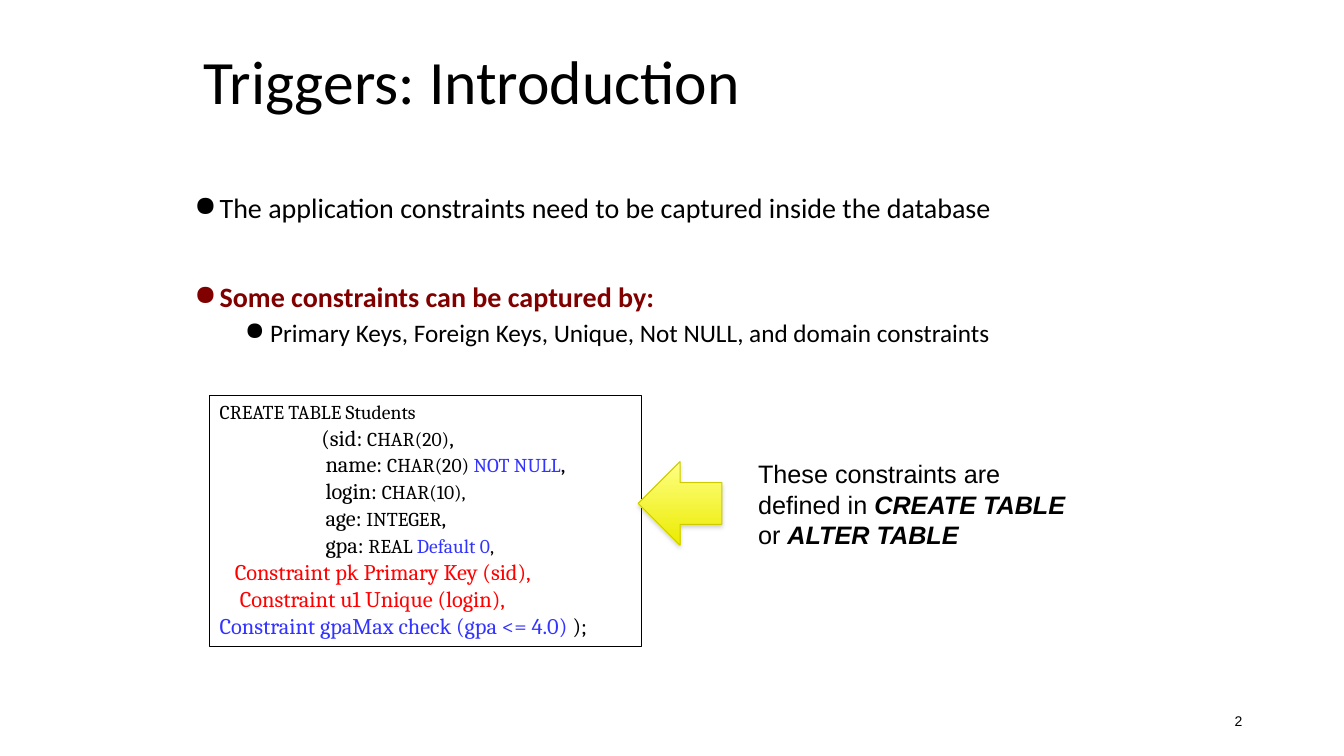
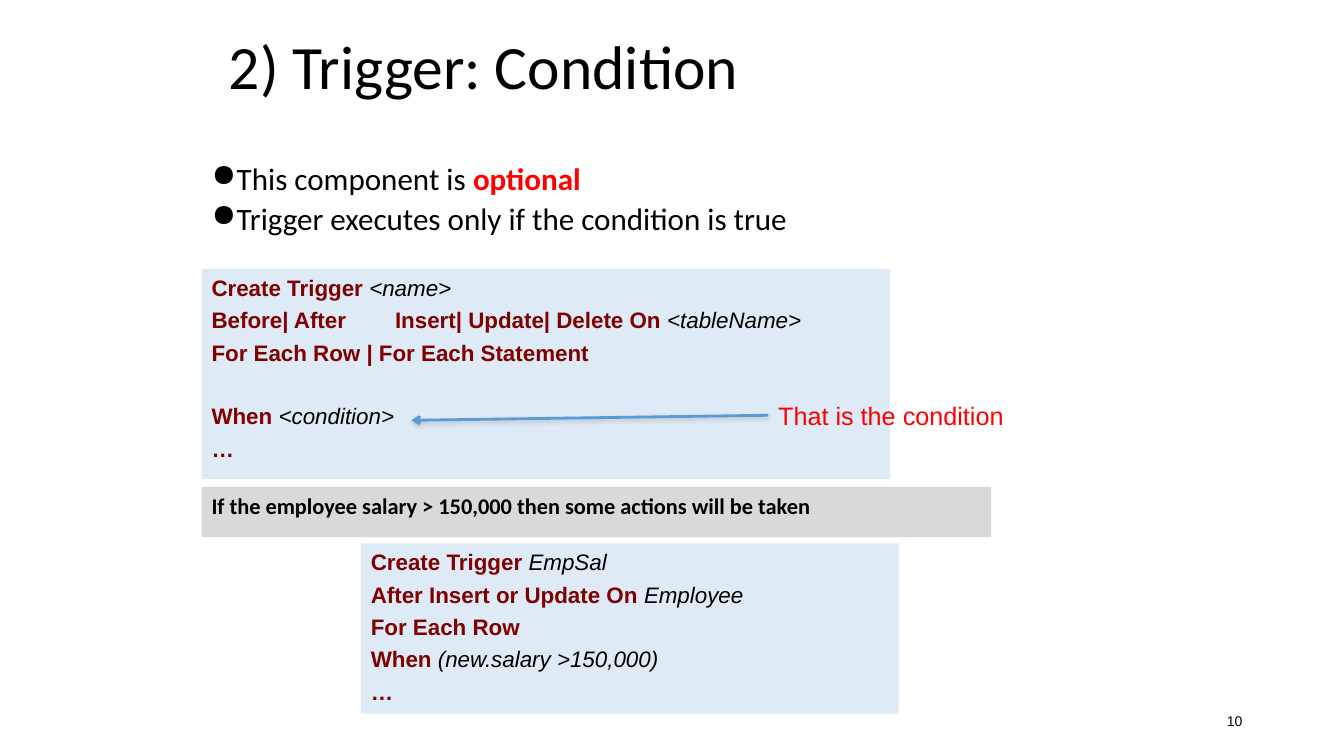
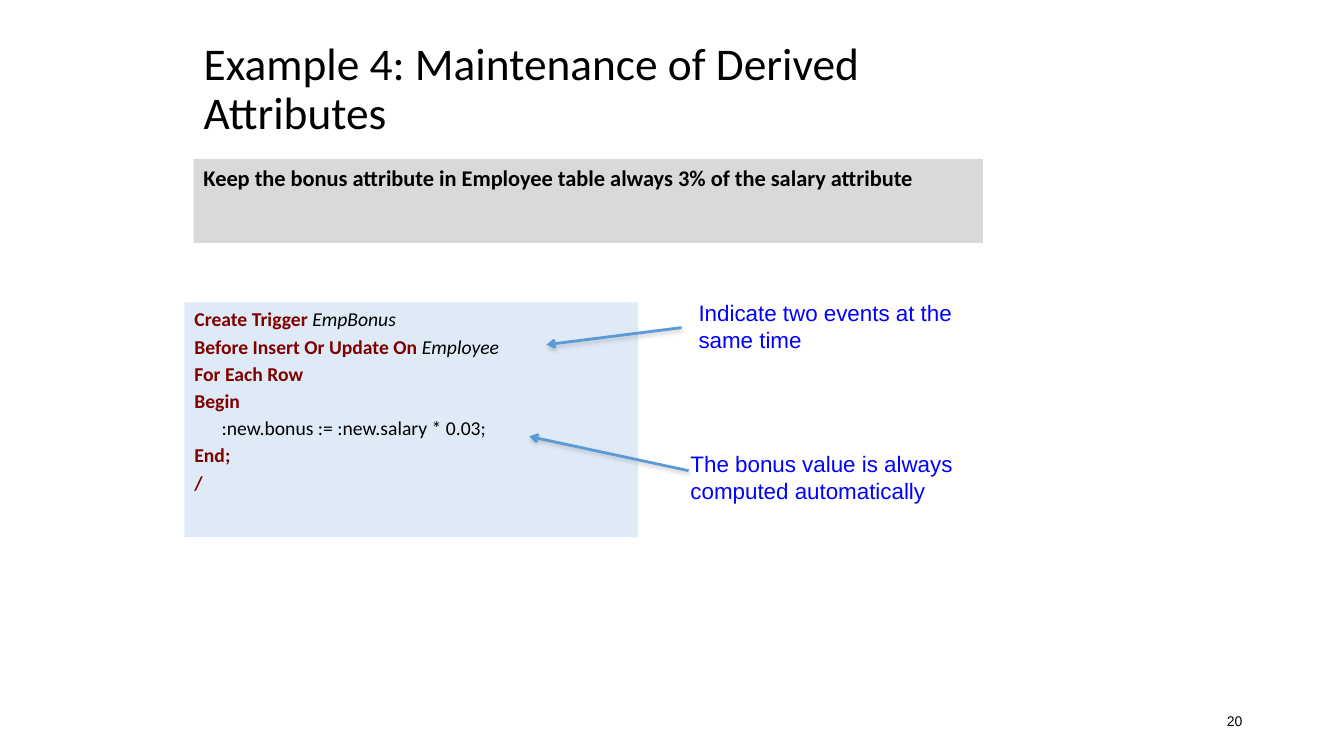
from lxml import etree
from pptx import Presentation
from pptx.dml.color import RGBColor
from pptx.enum.shapes import MSO_CONNECTOR, MSO_SHAPE
from pptx.enum.text import MSO_ANCHOR, MSO_AUTO_SIZE, PP_ALIGN
from pptx.oxml.ns import qn
from pptx.util import Inches, Pt

RECT, ARROW = MSO_SHAPE.RECTANGLE, MSO_SHAPE.LEFT_ARROW
LINE = MSO_CONNECTOR.STRAIGHT
TOP, MIDDLE = MSO_ANCHOR.TOP, MSO_ANCHOR.MIDDLE
LEFT, RIGHT = PP_ALIGN.LEFT, PP_ALIGN.RIGHT
FIXED = MSO_AUTO_SIZE.NONE

HUES = {
    "black": "000000", "maroon": "800000", "red": "FF0000", "blue": "0000FF",
    "iris": "3333FF", "sky": "DEEBF7", "grey": "D9D9D9", "link": "5B9BD5",
    "pale": "FFFF85", "lemon": "EBEB00", "olive": "CCCC00", "shade": "808080",
}
TITLE, BODY, CODE = "Calibri", "Arial", "Cambria"


def hue(name):
    return RGBColor.from_string(HUES[name])


def box(left, top, width, height):
    return [Inches(n) for n in (left, top, width, height)]


def child(node, tag, **attrs):
    return etree.SubElement(node, qn(tag), {k: str(v) for k, v in attrs.items()})


# Text: each run is a string or a (string, format) pair
def write(frame, *runs, font=BODY, size=16, color="black", bold=False,
          italic=False, align=LEFT, line=None, gap=0, left=0, bullet=None,
          tab=None):
    para = frame.paragraphs[0]
    if para.runs:
        para = frame.add_paragraph()
    para.alignment, para.line_spacing = align, line
    para.space_before = Pt(gap)
    props = para._p.get_or_add_pPr()
    if left:
        props.set("marL", str(Inches(left)))
        props.set("indent", str(Inches(-0.25 if bullet else 0)))
    if bullet:
        child(props, "a:buChar", char=bullet)
    if tab:
        child(child(props, "a:tabLst"), "a:tab", pos=Inches(tab), algn="l")
    base = {"font": font, "size": size, "color": color, "bold": bold,
            "italic": italic}
    for item in runs:
        words, extra = (item, {}) if isinstance(item, str) else item
        look = {**base, **extra}
        run = para.add_run()
        run.text = words
        run.font.name, run.font.size = look["font"], Pt(look["size"])
        run.font.bold, run.font.italic = look["bold"], look["italic"]
        run.font.color.rgb = hue(look["color"])


def area(slide, place, anchor=TOP):
    shape = slide.shapes.add_textbox(*box(*place))
    shape.text_frame.word_wrap = True
    shape.text_frame.vertical_anchor = anchor
    return shape


def panel(slide, place, fill=None):
    shape = slide.shapes.add_shape(RECT, *box(*place))
    shape.shadow.inherit = False
    if fill:
        shape.fill.solid()
        shape.fill.fore_color.rgb = hue(fill)
        shape.line.fill.background()
    else:
        shape.fill.background()
        shape.line.color.rgb = hue("black")
        shape.line.width = Pt(0.75)
    shape.text_frame.word_wrap = True
    shape.text_frame.vertical_anchor = TOP
    return shape.text_frame


def shadow(props, alpha, dist):
    for old in props.findall(qn("a:effectLst")):
        props.remove(old)
    cast = child(child(props, "a:effectLst"), "a:outerShdw", blurRad=Pt(3.1),
                 dist=Pt(dist), dir=90 * 60000, rotWithShape=0)
    tint = child(cast, "a:srgbClr", val=HUES["shade"])
    child(tint, "a:alpha", val=alpha * 1000)


def pointer(slide, start, end):
    link = slide.shapes.add_connector(LINE, *box(*start, *end))
    link.line.color.rgb = hue("link")
    link.line.width = Pt(2)
    child(link.line._get_or_add_ln(), "a:tailEnd", type="arrow")
    shadow(link._element.spPr, 38, 1.6)
    return link


def note(slide, place, *runs, **fmt):
    shape = area(slide, place)
    write(shape.text_frame, *runs, **fmt)
    return shape


def band(slide, place, words):
    write(panel(slide, place, "grey"), words, font=TITLE, bold=True)


# Trigger code: each row is (keywords, argument, extra format)
def trigger(slide, place, rows, **fmt):
    frame = panel(slide, place, "sky")
    for key, name, extra in rows:
        runs = [(key, {"color": "maroon", "bold": True})] if key else []
        if name:
            runs.append((name, {"italic": bool(key)}))
        write(frame, *runs, **{**fmt, **extra})


# Title and page number
def page(deck, title, place, number, size=44):
    slide = deck.slides.add_slide(deck.slide_layouts[5])
    head = slide.shapes.title
    head.left, head.top, head.width, head.height = box(*place)
    frame = head.text_frame
    frame.word_wrap, frame.auto_size = True, FIXED
    frame.vertical_anchor = MIDDLE
    write(frame, title, font=TITLE, size=size, line=0.9)
    foot = area(slide, (9.42, 6.95, 3, 0.4), MIDDLE)
    write(foot.text_frame, str(number), size=10, align=RIGHT)
    return slide


def schema(slide, place):
    frame = panel(slide, place)
    small = {"size": 14}
    iris = {"color": "iris"}
    tiny = {**small, **iris}
    rows = [
        (0, [("CREATE TABLE Students", small)]),
        (1.01, ["(sid: ", ("CHAR(20)", small), ","]),
        (1.05, ["name: ", ("CHAR(20) ", small), ("NOT NULL", tiny), ","]),
        (1.05, ["login: ", ("CHAR(10),", small)]),
        (1.05, ["age: ", ("INTEGER", small), ","]),
        (1.05, ["gpa: ", ("REAL ", small), ("Default 0", tiny), (",", small)]),
        (0.15, [("Constraint pk Primary Key (sid),", {"color": "red"})]),
        (0.2, [("Constraint u1 Unique (login),", {"color": "red"})]),
        (0, [("Constraint gpaMax check (gpa <= 4.0) ", iris), ");"]),
    ]
    for left, runs in rows:
        write(frame, *runs, font=CODE, left=left)


def block(slide, place):
    shape = slide.shapes.add_shape(ARROW, *box(*place))
    shape.fill.gradient()
    shape.fill.gradient_angle = 270
    for stop, name in zip(shape.fill.gradient_stops, ("pale", "lemon")):
        stop.color.rgb = hue(name)
    shape.line.color.rgb = hue("olive")
    shape.line.width = Pt(0.75)
    shadow(shape._element.spPr, 35, 1.8)


def intro(deck):
    slide = page(deck, "Triggers: Introduction", (1.92, 0.13, 8.25, 1.42), 2)
    frame = area(slide, (1.83, 1.88, 9.25, 2.12)).text_frame
    dot = {"font": TITLE, "line": 0.9, "bullet": "●"}
    write(frame, "The application constraints need to be captured inside the database",
          size=20, left=0.25, gap=10, **dot)
    write(frame, "Some constraints can be captured by:", size=20, left=0.25,
          gap=42, color="maroon", bold=True, **dot)
    write(frame, "Primary Keys, Foreign Keys, Unique, Not NULL, and domain constraints",
          size=18, left=0.75, gap=5, **dot)
    schema(slide, (2.08, 3.92, 4.28, 2.49))
    block(slide, (6.33, 4.58, 0.83, 0.83))
    strong = {"bold": True, "italic": True}
    note(slide, (7.42, 4.5, 3.42, 1.01), "These constraints are defined in ",
         ("CREATE TABLE ", strong), "or ", ("ALTER TABLE", strong), size=18)


def condition(deck):
    slide = page(deck, "2) Trigger: Condition", (2.17, 0.13, 8.25, 1.12), 10)
    frame = area(slide, (2, 1.63, 9, 0.79)).text_frame
    points = [
        ["This component is ", ("optional", {"color": "red", "bold": True})],
        ["Trigger executes only if the condition is true"],
    ]
    for runs in points:
        write(frame, *runs, font=TITLE, size=22.2, line=0.7, gap=10,
              left=0.25, bullet="●")
    trigger(slide, (2, 2.67, 6.83, 2.08), [
        ("Create Trigger ", "<name>", {}),
        ("Before| After\tInsert| Update| Delete On ", "<tableName>", {"tab": 1.82}),
        ("For Each Row | For Each Statement", "", {}),
        ("When ", "<condition>", {"gap": 26.2}),
        ("…", "", {}),
    ], gap=3.9)
    label = note(slide, (7.62, 3.92, 2.46, 0.4), "That is the condition",
                 size=18, color="red")
    link = pointer(slide, (7.62, 4.12), (4.08, 4.17))
    link.begin_connect(label, 1)
    band(slide, (2, 4.83, 7.83, 0.5),
         "If the employee salary > 150,000 then some actions will be taken")
    trigger(slide, (3.58, 5.39, 5.33, 1.69), [
        ("Create Trigger ", "EmpSal", {}),
        ("After Insert or Update On ", "Employee", {}),
        ("For Each Row", "", {}),
        ("When ", "(new.salary >150,000)", {}),
        ("…", "", {}),
    ], gap=3.9)


def derived(deck):
    slide = page(deck, "Example 4: Maintenance of Derived Attributes",
                 (1.92, 0.38, 8.25, 1.03), 20, size=32.4)
    band(slide, (1.92, 1.58, 7.83, 0.83),
         "Keep the bonus attribute in Employee table always 3% of the salary attribute")
    trigger(slide, (1.83, 3, 4.5, 2.33), [
        ("Create Trigger ", "EmpBonus", {}),
        ("Before Insert Or Update On ", "Employee", {}),
        ("For Each Row", "", {}),
        ("Begin", "", {}),
        ("", ":new.bonus := :new.salary * 0.03;", {"left": 0.27}),
        ("End;", "", {}),
        ("/", "", {}),
    ], font=TITLE, size=14, gap=2.6)
    notes = [
        ((6.75, 4.42), "The bonus value is always computed automatically",
         (6.83, 4.67), (5.25, 4.33)),
        ((6.83, 2.92), "Indicate two events at the same time",
         (6.76, 3.25), (5.42, 3.42)),
    ]
    for spot, words, start, end in notes:
        pointer(slide, start, end)
        note(slide, (*spot, 2.92, 0.64), words, color="blue")


def main():
    deck = Presentation()
    deck.slide_width, deck.slide_height = Inches(13.33), Inches(7.5)
    for build in (intro, condition, derived):
        build(deck)
    deck.save("out.pptx")


if __name__ == "__main__":
    main()
